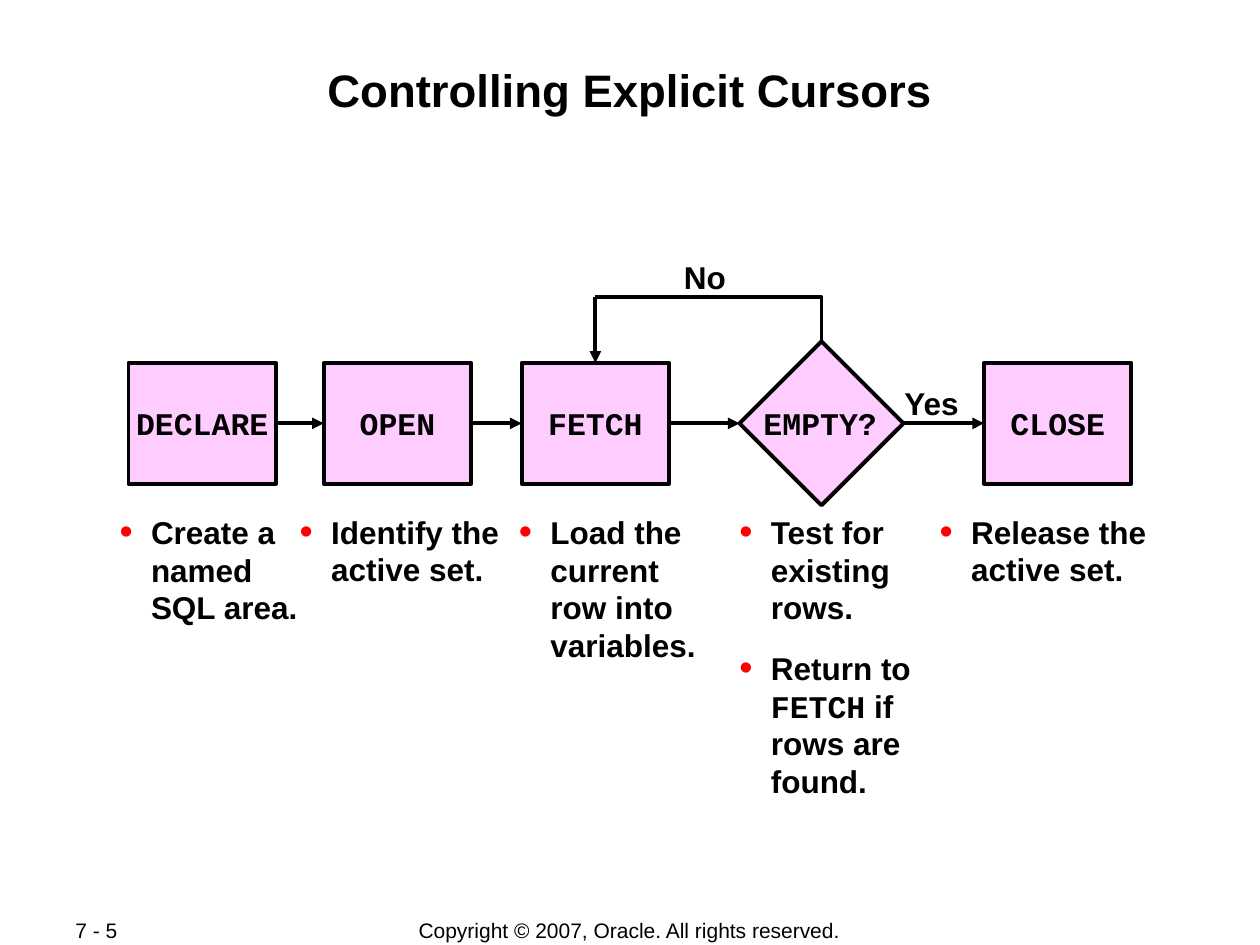
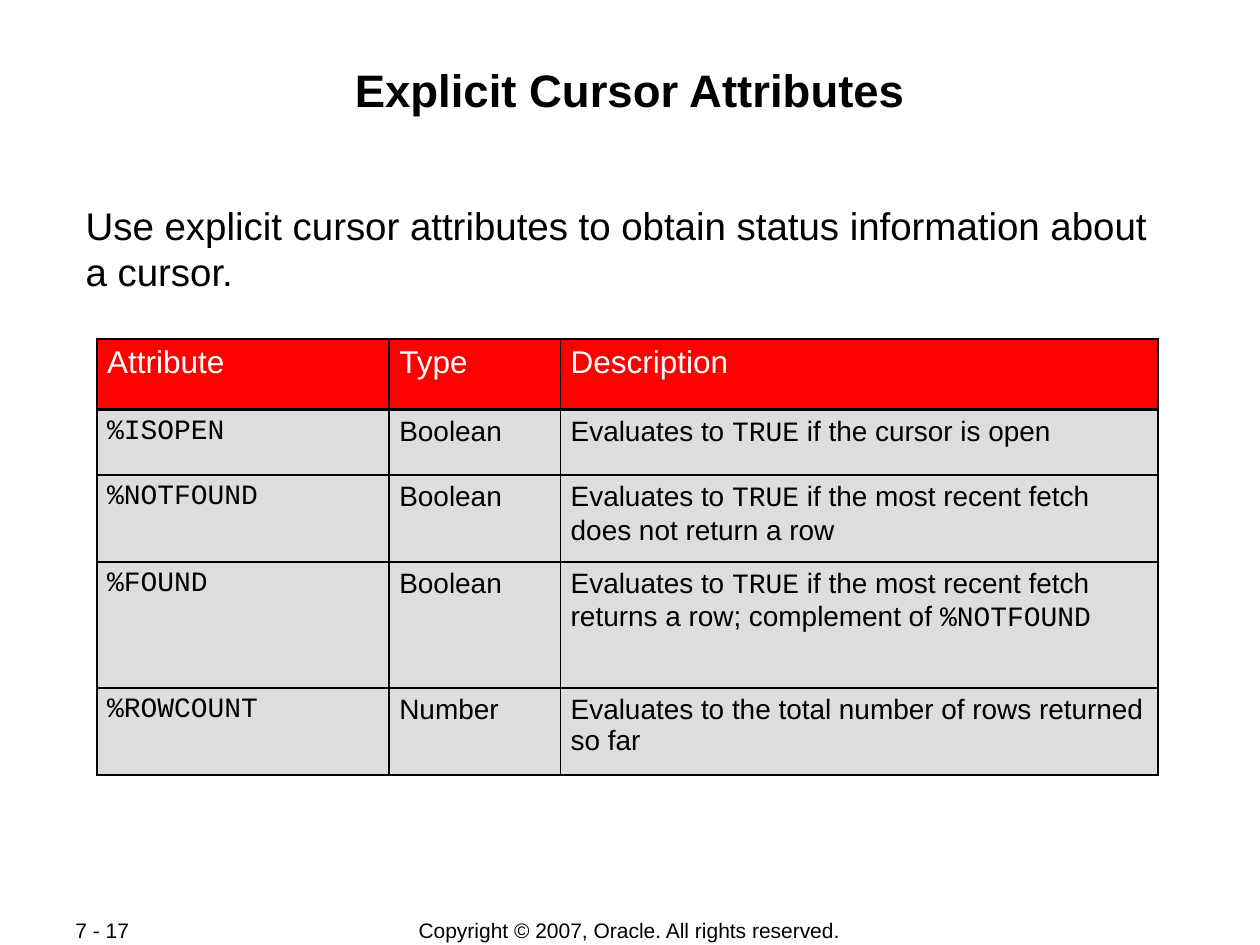
from dataclasses import dataclass
from typing import NamedTuple

from lxml.etree import SubElement
from pptx import Presentation
from pptx.dml.color import RGBColor
from pptx.enum.shapes import MSO_CONNECTOR as Link, MSO_SHAPE as Kind
from pptx.enum.text import MSO_ANCHOR as Anchor, PP_ALIGN as Align
from pptx.oxml.ns import qn
from pptx.util import Inches, Pt

BLACK = RGBColor(0, 0, 0)
WHITE = RGBColor(255, 255, 255)
RED = RGBColor(255, 0, 0)
PINK = RGBColor(255, 204, 255)
GRAY = RGBColor(221, 221, 221)
SANS = "Arial"
MONO = "Courier New"
STROKE = Pt(2.25)
MID = 3.36
BOX_W, BOX_H = 1.17, 0.96
BOX_Y = MID - BOX_H / 2
TIP = 0.65


class Run(NamedTuple):
    text: str
    font: str = SANS


class Area(NamedTuple):
    x: float
    y: float
    w: float
    h: float


@dataclass(frozen=True)
class Style:
    size: float
    bold: bool = False
    color: RGBColor = BLACK
    align: Align = Align.LEFT
    anchor: Anchor = Anchor.TOP
    inset: tuple = (0.1, 0.05)
    wrap: bool = True
    bullet: bool = False


@dataclass(frozen=True)
class Step:
    name: str
    x: float


@dataclass(frozen=True)
class Note:
    area: Area
    runs: tuple


TITLE = Style(26, bold=True, align=Align.CENTER, inset=(0.01, 0.01))
BODY = Style(22, inset=(0.01, 0.01))
FOOT = Style(12, anchor=Anchor.MIDDLE)
CREDIT = Style(12, align=Align.CENTER, anchor=Anchor.MIDDLE)
LABEL = Style(18, bold=True, wrap=False)
NAME = Style(18, bold=True, align=Align.CENTER, anchor=Anchor.MIDDLE, wrap=False)
POINT = Style(18, bold=True, bullet=True)
HEAD = Style(18, color=WHITE, inset=(0.08, 0.05))
CELL = Style(16, inset=(0.08, 0.05))

STEPS = (Step("DECLARE", 1.02), Step("OPEN", 2.57), Step("FETCH", 4.14), Step("CLOSE", 7.81))
NOTES = (
    Note(Area(0.85, 4.02, 1.69, 1.01), (Run("Create a named SQL area."),)),
    Note(Area(2.28, 4.02, 1.9, 0.8), (Run("Identify the active set."),)),
    Note(Area(4.02, 4.02, 1.65, 1.42), (Run("Load the current row into variables."),)),
    Note(Area(5.77, 4.02, 1.83, 1.22), (Run("Test for existing rows."),)),
    Note(Area(5.77, 5.1, 1.9, 1.56),
         (Run("Return to "), Run("FETCH", MONO), Run(" if rows are found."))),
    Note(Area(7.36, 4.02, 1.9, 0.8), (Run("Release the active set."),)),
)

TRUTH = (Run("Evaluates to "), Run("TRUE", MONO))
ROWS = (
    ("%ISOPEN", "Boolean", (*TRUTH, Run(" if the cursor is open"))),
    ("%NOTFOUND", "Boolean", (*TRUTH, Run(" if the most recent fetch does not return a row"))),
    ("%FOUND", "Boolean",
     (*TRUTH, Run(" if the most recent fetch returns a row; complement of "),
      Run("%NOTFOUND", MONO))),
    ("%ROWCOUNT", "Number", (Run("Evaluates to the total number of rows returned so far"),)),
)
WIDTHS = (2.32, 1.36, 4.74)
HEIGHTS = (0.56, 0.52, 0.69, 1, 0.69)


def place(area: Area) -> tuple:
    return tuple(Inches(side) for side in area)


def add_dot(para) -> None:
    props = para._p.get_or_add_pPr()
    props.set("marL", str(Inches(0.25)))
    props.set("indent", str(Inches(-0.25)))
    color = SubElement(props, qn("a:buClr"))
    SubElement(color, qn("a:srgbClr"), val=str(RED))
    SubElement(props, qn("a:buSzPct"), val="120000")
    SubElement(props, qn("a:buFont"), typeface=SANS)
    SubElement(props, qn("a:buChar"), char="•")


def write(frame, runs: tuple, style: Style) -> None:
    frame.word_wrap = style.wrap
    para = frame.paragraphs[0]
    para.alignment = style.align
    if style.bullet:
        add_dot(para)
    for piece in runs:
        run = para.add_run()
        run.text = piece.text
        run.font.name = piece.font
        run.font.size = Pt(style.size)
        run.font.bold = style.bold
        run.font.color.rgb = style.color


def pad(target, style: Style) -> None:
    target.margin_left = target.margin_right = Inches(style.inset[0])
    target.margin_top = target.margin_bottom = Inches(style.inset[1])
    target.vertical_anchor = style.anchor


def add_text(slide, area: Area, runs: tuple, style: Style) -> None:
    frame = slide.shapes.add_textbox(*place(area)).text_frame
    pad(frame, style)
    write(frame, runs, style)


def outline(shape) -> None:
    shape.shadow.inherit = False
    shape.line.color.rgb = BLACK
    shape.line.width = STROKE


def add_box(slide, area: Area):
    box = slide.shapes.add_shape(Kind.RECTANGLE, *place(area))
    box.fill.solid()
    box.fill.fore_color.rgb = PINK
    outline(box)
    return box


def add_step(slide, step: Step):
    box = add_box(slide, Area(step.x, BOX_Y, BOX_W, BOX_H))
    pad(box.text_frame, NAME)
    write(box.text_frame, (Run(step.name, MONO),), NAME)
    return box


def add_arrow(slide, start: tuple, end: tuple):
    ends = (Inches(side) for side in (*start, *end))
    arrow = slide.shapes.add_connector(Link.STRAIGHT, *ends)
    arrow.line.color.rgb = BLACK
    arrow.line.width = STROKE
    SubElement(arrow.line._get_or_add_ln(), qn("a:tailEnd"), type="triangle")
    SubElement(arrow._element.spPr, qn("a:effectLst"))
    return arrow


def add_edge(cell, side: str, width: float) -> None:
    props = cell._tc.get_or_add_tcPr()
    edge = SubElement(props, qn(f"a:ln{side}"), w=str(Pt(width)))
    fill = SubElement(edge, qn("a:solidFill"))
    SubElement(fill, qn("a:srgbClr"), val=str(BLACK))


def fill_cell(cell, runs: tuple, style: Style, color: RGBColor, top: float, base: float) -> None:
    pad(cell, style)
    write(cell.text_frame, runs, style)
    for side, width in (("L", 1.08), ("R", 1.08), ("T", top), ("B", base)):
        add_edge(cell, side, width)
    cell.fill.solid()
    cell.fill.fore_color.rgb = color


def add_page(deck, title: str, number: str):
    slide = deck.slides.add_slide(deck.slide_layouts[6])
    add_text(slide, Area(0.67, 0.48, 8.66, 0.96), (Run(title),), TITLE)
    add_text(slide, Area(0.5, 7.28, 1.06, 0.2), (Run(number),), FOOT)
    add_text(slide, Area(2.75, 7.28, 4.49, 0.21),
             (Run("Copyright © 2007, Oracle. All rights reserved."),), CREDIT)
    return slide


def draw_flow(deck) -> None:
    slide = add_page(deck, "Controlling Explicit Cursors", "7 - 5")
    first, second, fetch, close = (add_step(slide, step) for step in STEPS)
    hub, half = 6.52, 0.46
    test = add_box(slide, Area(hub - half, MID - half, 2 * half, 2 * half))
    test.rotation = 315
    add_text(slide, Area(5.96, 3.16, 1.1, 0.4), (Run("EMPTY?", MONO),), NAME)

    for left, right in ((first, second), (second, fetch)):
        arrow = add_arrow(slide, (0, MID), (1, MID))
        arrow.begin_connect(left, 3)
        arrow.end_connect(right, 1)
    add_arrow(slide, (STEPS[2].x + BOX_W, MID), (hub - TIP, MID)).begin_connect(fetch, 3)
    add_arrow(slide, (hub + TIP, MID), (STEPS[3].x, MID)).end_connect(close, 1)

    back, turn = STEPS[2].x + BOX_W / 2, 2.36
    pen = slide.shapes.build_freeform(Inches(hub), Inches(MID - TIP))
    pen.add_line_segments([(Inches(hub), Inches(turn)), (Inches(back), Inches(turn))], close=False)
    loop = pen.convert_to_shape()
    loop.fill.background()
    outline(loop)
    add_arrow(slide, (back, turn), (back, BOX_Y)).end_connect(fetch, 0)

    add_text(slide, Area(5.33, 2, 0.54, 0.4), (Run("No"),), LABEL)
    add_text(slide, Area(7.08, 3, 0.65, 0.4), (Run("Yes"),), LABEL)
    for note in NOTES:
        add_text(slide, note.area, note.runs, POINT)


def draw_table(deck) -> None:
    slide = add_page(deck, "Explicit Cursor Attributes", "7 - 17")
    add_text(slide, Area(0.67, 1.59, 8.66, 0.76),
             (Run("Use explicit cursor attributes to obtain status information about a cursor."),),
             BODY)
    area = Area(0.77, 2.69, sum(WIDTHS), sum(HEIGHTS))
    table = slide.shapes.add_table(len(HEIGHTS), len(WIDTHS), *place(area)).table
    table.first_row = table.horz_banding = False
    for col, width in zip(table.columns, WIDTHS):
        col.width = Inches(width)
    for row, height in zip(table.rows, HEIGHTS):
        row.height = Inches(height)
    for col, text in enumerate(("Attribute", "Type", "Description")):
        fill_cell(table.cell(0, col), (Run(text),), HEAD, RED, 1.08, 2.21)
    for row, (name, kind, runs) in enumerate(ROWS, 1):
        top = 2.21 if row == 1 else 1.08
        for col, cell in enumerate(((Run(name, MONO),), (Run(kind),), runs)):
            fill_cell(table.cell(row, col), cell, CELL, GRAY, top, 1.08)


def main() -> None:
    deck = Presentation()
    deck.slide_width, deck.slide_height = Inches(10), Inches(7.5)
    draw_flow(deck)
    draw_table(deck)
    deck.save("out.pptx")


if __name__ == "__main__":
    main()
